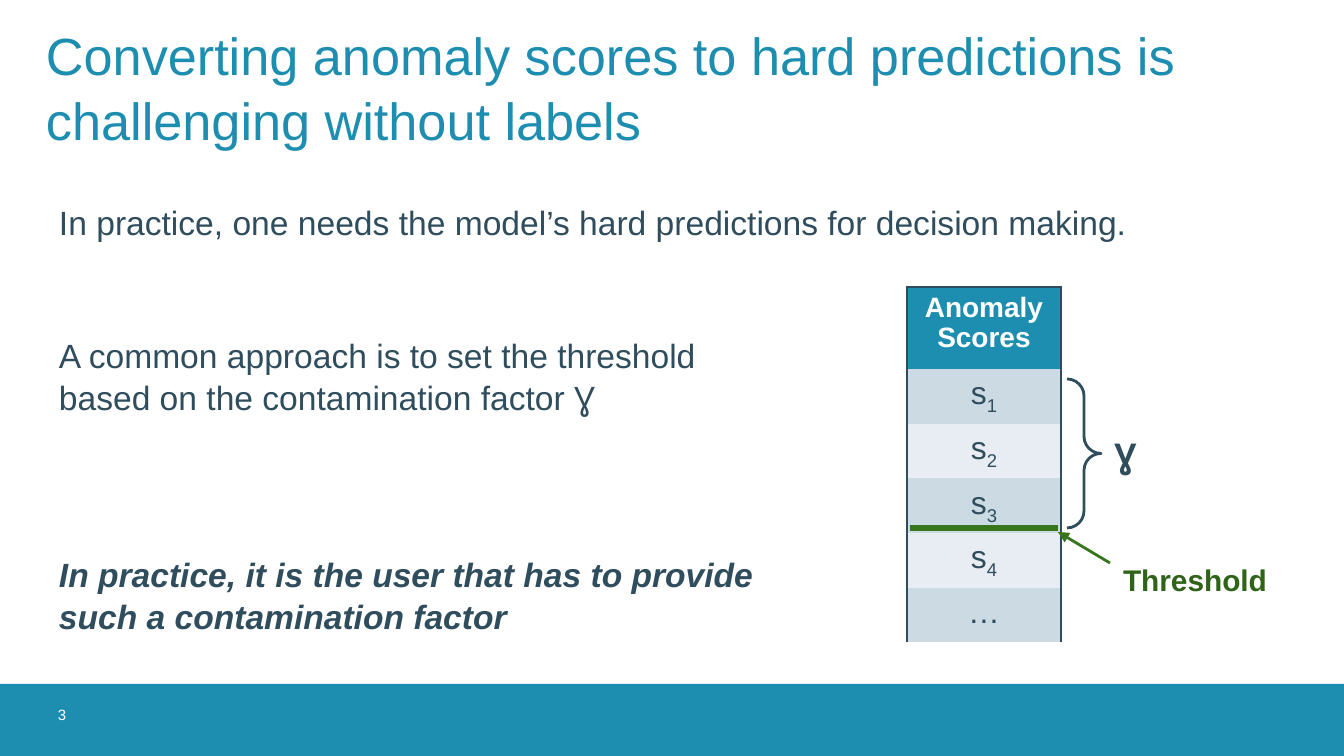
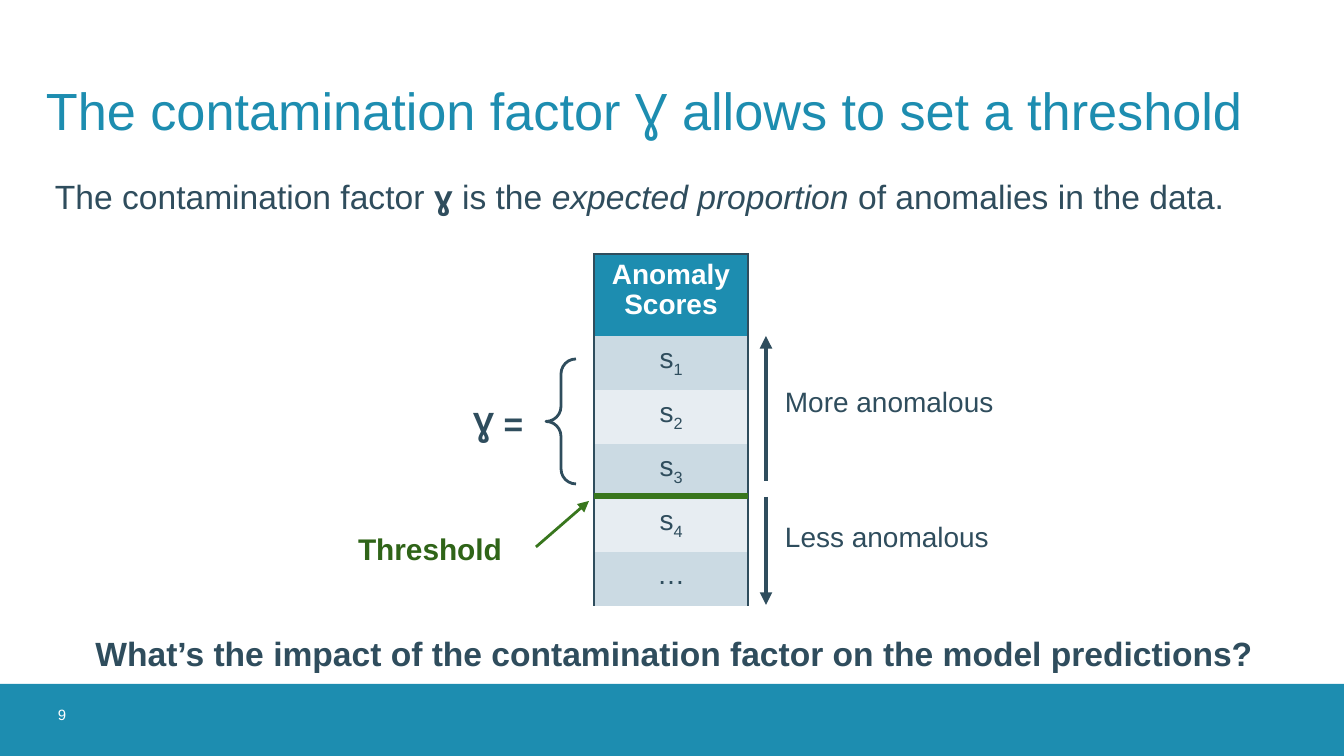
from dataclasses import dataclass

from lxml import etree
from pptx import Presentation
from pptx import util as u
from pptx.dml.color import RGBColor
from pptx.enum import shapes, text
from pptx.oxml.ns import qn


@dataclass(frozen=True)
class Theme:
    font: str = "Arial"
    teal: str = "1D8DB0"
    ink: str = "2F4D5D"
    white: str = "FFFFFF"
    band_dark: str = "CBDAE3"
    band_light: str = "E7EDF2"
    green: str = "38761D"
    dark_green: str = "2F6418"
    title: int = 28
    body: int = 18
    threshold: int = 16
    small: int = 15
    number: int = 8


THEME = Theme()
NO_STYLE = "{2D5ABB26-0587-4C30-8999-92F81FD0307C}"
SCORE_WIDTH, HEADER_HEIGHT, ROW_HEIGHT = 154, 82, 54
SCORES = ["1", "2", "3", "4", None]
BOLD = {"bold": True}
CENTERED = {"bold": True, "align": "CENTER"}

SLIDES = [
    {
        "number": "3",
        "layout": 5,
        "title": ("Converting anomaly scores to hard predictions is challenging without labels", 43),
        "body": None,
        "texts": [
            ("In practice, one needs the model’s hard predictions for decision making.",
             (46, 187, 1200, 67), {}),
            ("A common approach is to set the threshold based on the contamination factor Ɣ",
             (46, 320, 668, 109), {}),
            ("In practice, it is the user that has to provide such a contamination factor",
             (46, 539, 751, 109), {"bold": True, "italic": True}),
            ("Ɣ", (1101, 418, 48, 70), {"size": 19, **CENTERED}),
        ],
        "notes": [],
        "scores": (907, 287, 17),
        "brace": ("RIGHT_BRACE", (1067, 379, 34, 149)),
        "threshold": ((910, 528, 1058, 528), (1110, 563, 1058, 532), (1090, 547)),
        "directions": [],
    },
    {
        "number": "9",
        "layout": 1,
        "title": ("The contamination factor Ɣ allows to set a threshold", 66),
        "body": [
            ("The contamination factor ", {}),
            ("ɣ", BOLD),
            (" is the ", {}),
            ("expected proportion", {"italic": True}),
            (" of anomalies in the data.", {}),
        ],
        "texts": [
            ("What’s the impact of the contamination factor on the model predictions?",
             (46, 618, 1257, 67), CENTERED),
            ("Ɣ =", (460, 388, 99, 67), BOLD),
        ],
        "notes": [
            ("More anomalous", (776, 378, 257, 66)),
            ("Less anomalous", (776, 513, 257, 66)),
        ],
        "scores": (594, 254, 15),
        "brace": ("LEFT_BRACE", (546, 359, 30, 125)),
        "threshold": ((594, 496, 748, 496), (536, 547, 589, 501), (325, 516)),
        "directions": [(766, 481, 766, 336), (766, 497, 766, 605)],
    },
]


def px(count):
    return u.Emu(round(count * u.Inches(10) / 1344))


def place(*lengths):
    return [px(length) for length in lengths]


def rgb(color):
    return RGBColor.from_string(color)


def style(para, size, color=THEME.ink, bold=False, italic=False, align="LEFT", spacing=1.05):
    para.alignment = getattr(text.PP_ALIGN, align)
    para.line_spacing = spacing
    para.space_before = u.Pt(0)
    font = para.font
    font.name, font.size = THEME.font, u.Pt(size)
    font.bold, font.italic = bold, italic
    font.color.rgb = rgb(color)


def set_frame(box, inset_x, inset_y, anchor="TOP"):
    frame = box.text_frame
    frame.word_wrap = True
    frame.auto_size = text.MSO_AUTO_SIZE.NONE
    frame.margin_left = frame.margin_right = px(inset_x)
    frame.margin_top = frame.margin_bottom = px(inset_y)
    frame.vertical_anchor = getattr(text.MSO_ANCHOR, anchor)
    return frame.paragraphs[0]


def add_text(page, words, area, size=THEME.body, insets=(13, 13), anchor="TOP", **look):
    box = page.shapes.add_textbox(*place(*area))
    para = set_frame(box, *insets, anchor)
    para.text = words
    style(para, size, **look)


def move(shape, area):
    shape.left, shape.top, shape.width, shape.height = place(*area)


def set_title(page, words, top):
    title = page.shapes.title
    move(title, (46, top, 1253, 85))
    para = set_frame(title, 0, 0, "MIDDLE")
    para.text = words
    style(para, THEME.title, THEME.teal)


def set_body(page, spans):
    body = page.placeholders[1]
    move(body, (46, 169, 1253, 503))
    para = set_frame(body, 9, 5)
    properties = para._p.get_or_add_pPr()
    properties.set("marL", "0")
    properties.set("indent", "0")
    etree.SubElement(properties, qn("a:buNone"))
    style(para, THEME.body)
    for words, look in spans:
        span = para.add_run()
        span.text = words
        for name, value in look.items():
            setattr(span.font, name, value)


def add_line(page, ends, color, width, arrow=False):
    line = page.shapes.add_connector(shapes.MSO_CONNECTOR.STRAIGHT, *place(*ends))
    line.line.color.rgb = rgb(color)
    line.line.width = u.Pt(width)
    if arrow:
        etree.SubElement(line.line._get_or_add_ln(), qn("a:tailEnd"), type="triangle")
    etree.SubElement(line.element.spPr, qn("a:effectLst"))


def add_border(cell, sides):
    properties = cell._tc.get_or_add_tcPr()
    for side in sides:
        edge = etree.SubElement(properties, qn("a:ln" + side), w=str(u.Pt(1)))
        fill = etree.SubElement(edge, qn("a:solidFill"))
        etree.SubElement(fill, qn("a:srgbClr"), val=THEME.ink)


def add_scores(page, left, top, size):
    heights = [HEADER_HEIGHT] + [ROW_HEIGHT] * len(SCORES)
    frame = page.shapes.add_table(
        len(heights), 1, *place(left, top, SCORE_WIDTH, sum(heights)))
    frame.element.find(".//" + qn("a:tableStyleId")).text = NO_STYLE
    table = frame.table
    for index, height in enumerate(heights):
        table.rows[index].height = px(height)
        cell = table.cell(index, 0)
        cell.margin_left = cell.margin_right = px(13)
        cell.margin_top = cell.margin_bottom = px(7)
        add_border(cell, "LR" if index else "LRT")
        cell.fill.solid()
        para = cell.text_frame.paragraphs[0]
        if index == 0:
            cell.fill.fore_color.rgb = rgb(THEME.teal)
            para.text = "Anomaly Scores"
            style(para, THEME.small, THEME.white, bold=True, align="CENTER", spacing=0.95)
            continue
        cell.fill.fore_color.rgb = rgb(THEME.band_dark if index % 2 else THEME.band_light)
        subscript = SCORES[index - 1]
        para.text = "s" if subscript else "…"
        if subscript:
            span = para.add_run()
            span.text = subscript
            span._r.get_or_add_rPr().set("baseline", "-25000")
        style(para, size, align="CENTER", spacing=1.0)


def add_brace(page, kind, area):
    brace = page.shapes.add_shape(getattr(shapes.MSO_SHAPE, kind), *place(*area))
    brace.shadow.inherit = False
    brace.adjustments[0] = 0.5
    brace.fill.background()
    brace.line.color.rgb = rgb(THEME.ink)
    brace.line.width = u.Pt(1.5)


def add_threshold(page, cut, pointer, label):
    add_line(page, cut, THEME.green, 3)
    add_line(page, pointer, THEME.green, 1.5, arrow=True)
    add_text(page, "Threshold", (*label, 210, 63), THEME.threshold,
             color=THEME.dark_green, **CENTERED)


def add_master_band(deck, page):
    band = page.shapes.add_shape(shapes.MSO_SHAPE.RECTANGLE, *place(0, 684, 1344, 72))
    band.shadow.inherit = False
    band.fill.solid()
    band.fill.fore_color.rgb = rgb(THEME.teal)
    band.line.fill.background()
    band.element.find(".//" + qn("p:cNvPr")).set("id", "99")
    deck.slide_master.shapes.element.insert(2, band.element)


def build_page(deck, content):
    page = deck.slides.add_slide(deck.slide_layouts[content["layout"]])
    set_title(page, *content["title"])
    if content["body"]:
        set_body(page, content["body"])
    add_text(page, content["number"], (58, 685, 81, 58), THEME.number,
             insets=(0, 0), anchor="MIDDLE", color=THEME.white)
    add_scores(page, *content["scores"])
    for words, area, look in content["texts"]:
        add_text(page, words, area, **look)
    for words, area in content["notes"]:
        add_text(page, words, area, THEME.small, insets=(9, 5))
    add_brace(page, *content["brace"])
    for ends in content["directions"]:
        add_line(page, ends, THEME.ink, 2.25, arrow=True)
    add_threshold(page, *content["threshold"])
    return page


def main():
    deck = Presentation()
    deck.slide_width, deck.slide_height = place(1344, 756)
    pages = [build_page(deck, content) for content in SLIDES]
    add_master_band(deck, pages[0])
    deck.save("out.pptx")


if __name__ == "__main__":
    main()
